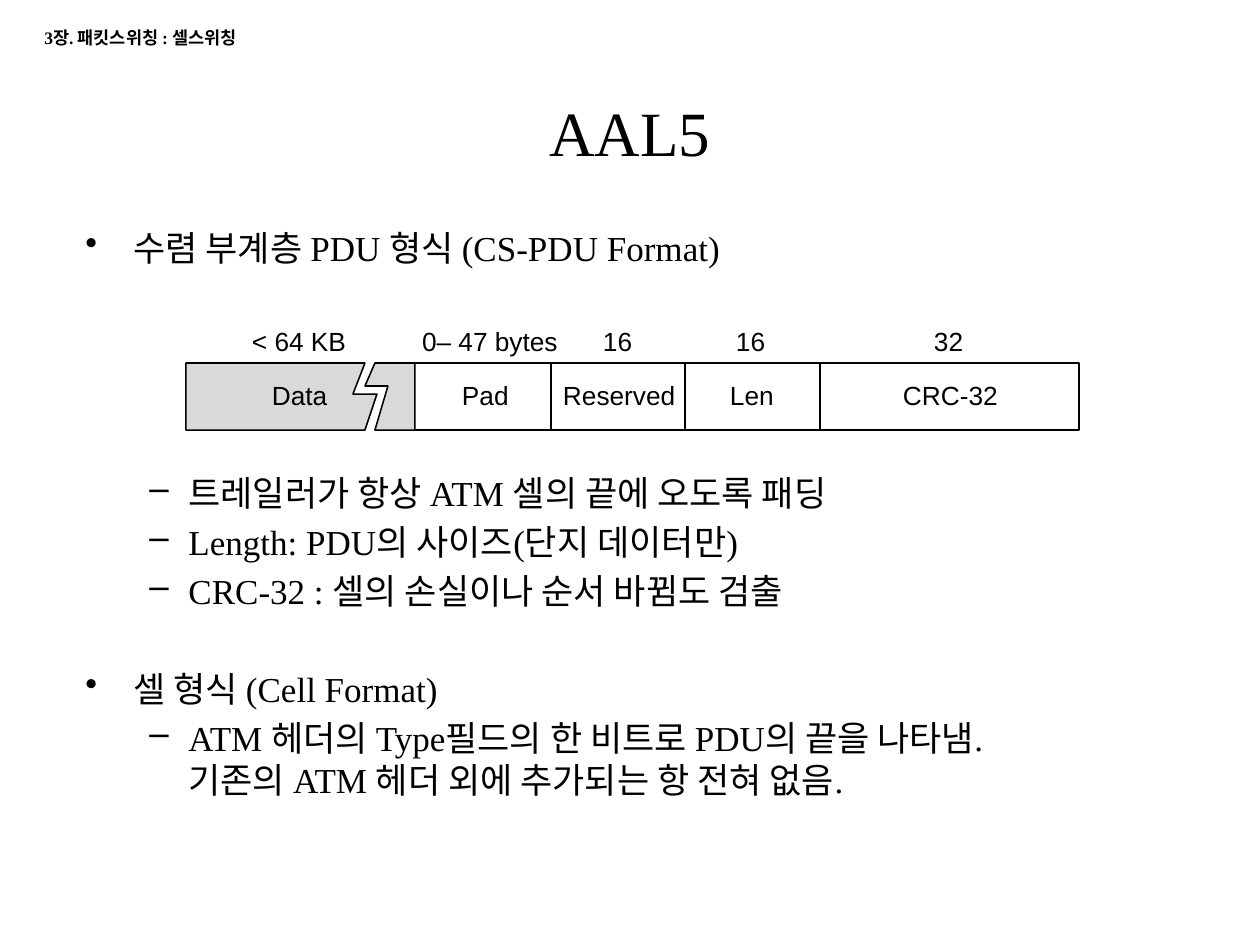
from lxml import etree
from pptx import Presentation
from pptx import util as u
from pptx.dml.color import RGBColor
from pptx.enum import shapes, text
from pptx.oxml.ns import qn

SCALE = 914400 / 126  # EMU in one px
COLORS = {"ink": "000000", "shade": "D9D9D9"}
SERIF, SANS = "Times New Roman", "Arial"


def px(length):
    return u.Emu(round(length * SCALE))


def add_text(para, words, size=20, font=SERIF, bold=False, before=0,
             align=text.PP_ALIGN.LEFT):
    para.alignment = align
    para.space_before = u.Pt(before)
    for index, line in enumerate(words.split("\n")):
        if index:
            para.add_line_break()
        span = para.add_run()
        span.text = line
        span.font.size = u.Pt(size)
        span.font.name = font
        span.font.bold = bold
        span.font.color.rgb = RGBColor.from_string(COLORS["ink"])


class Painter:
    line_width = u.Pt(0.88)
    label_slack = 20  # spare width that keeps each label on one line

    def __init__(self, page):
        self.page = page

    def frame(self, left, top, width, height, wrap=True, inset=None):
        box = self.page.shapes.add_textbox(px(left), px(top), px(width), px(height))
        frame = box.text_frame
        frame.word_wrap = wrap
        if inset is not None:
            frame.margin_left = frame.margin_right = px(inset)
            frame.margin_top = frame.margin_bottom = px(inset)
        return frame

    def label(self, left, top, width, words):
        frame = self.frame(left, top, width + self.label_slack, 32,
                           wrap=False, inset=0)
        add_text(frame.paragraphs[0], words, size=15, font=SANS)

    def bullet(self, para, mark, left, hang):
        props = para._p.get_or_add_pPr()
        props.set("marL", str(px(left)))
        props.set("indent", str(-px(hang)))
        etree.SubElement(props, qn("a:buFontTx"))
        etree.SubElement(props, qn("a:buChar")).set("char", mark)

    def stroke(self, line):
        line.width = self.line_width
        line.color.rgb = RGBColor.from_string(COLORS["ink"])

    def outline(self, points, fill=None):
        """A closed filled shape, or an open line when there is no fill."""
        builder = self.page.shapes.build_freeform(*points[0], scale=SCALE)
        builder.add_line_segments(points[1:], close=fill is not None)
        shape = builder.convert_to_shape()
        shape.shadow.inherit = False
        if fill:
            shape.fill.solid()
            shape.fill.fore_color.rgb = RGBColor.from_string(COLORS[fill])
        else:
            shape.fill.background()
        self.stroke(shape.line)

    def divider(self, x, top, bottom):
        line = self.page.shapes.add_connector(
            shapes.MSO_CONNECTOR.STRAIGHT, px(x), px(top), px(x), px(bottom))
        etree.SubElement(line._element.spPr, qn("a:effectLst"))
        self.stroke(line.line)


def main():
    deck = Presentation()
    deck.slide_width, deck.slide_height = px(1260), px(945)
    painter = Painter(deck.slides.add_slide(deck.slide_layouts[6]))

    # Title
    title = painter.frame(73, 63, 1113, 136)
    title.vertical_anchor = text.MSO_ANCHOR.MIDDLE
    add_text(title.paragraphs[0], "AAL5", size=36, align=text.PP_ALIGN.CENTER)

    # Body: level, space before in points, words
    levels = [("•", 48, 48), ("–", 103, 39)]
    items = [
        (0, 4, "수렴 부계층 PDU 형식 (CS-PDU Format)"),
        (1, 116, "트레일러가 항상 ATM 셀의 끝에 오도록 패딩"),
        (1, 4, "Length: PDU의 사이즈(단지 데이터만)"),
        (1, 4, "CRC-32 : 셀의 손실이나 순서 바뀜도 검출"),
        (0, 32, "셀 형식 (Cell Format)"),
        (1, 4, "ATM 헤더의 Type필드의 한 비트로 PDU의 끝을 나타냄.\n"
               "기존의 ATM 헤더 외에 추가되는 항 전혀 없음."),
    ]
    body = painter.frame(73, 220, 1113, 672)
    for index, (level, before, words) in enumerate(items):
        para = body.add_paragraph() if index else body.paragraphs[0]
        para.level = level
        add_text(para, words, before=before)
        painter.bullet(para, *levels[level])

    # PDU bar: the data field is broken by a zigzag gap
    top, bottom = 363, 430
    painter.outline([(375, bottom), (1079, bottom), (1079, top), (375, top)])
    painter.outline([(186, top), (365, top), (353, 394), (377, 394),
                     (365, bottom), (186, bottom)], fill="shade")
    painter.outline([(415, top), (375, top), (365, 386), (388, 386),
                     (375, bottom), (415, bottom)], fill="shade")
    for x in (551, 685, 820):
        painter.divider(x, top, bottom)

    # Field sizes above the bar, field names inside it: left, width, words
    sizes = [(252, 94, "< 64 KB"), (422, 135, "0– 47 bytes"), (603, 29, "16"),
             (736, 29, "16"), (934, 29, "32")]
    names = [(272, 55, "Data"), (462, 47, "Pad"), (563, 112, "Reserved"),
             (730, 44, "Len"), (903, 96, "CRC-32")]
    for row_top, row in ((325, sizes), (379, names)):
        for left, width, words in row:
            painter.label(left, row_top, width, words)

    # Chapter header
    header = painter.frame(32, 21, 357, 34)
    add_text(header.paragraphs[0], "3장. 패킷스위칭 : 셀스위칭", size=10, bold=True, before=5)

    deck.save("out.pptx")


if __name__ == "__main__":
    main()
